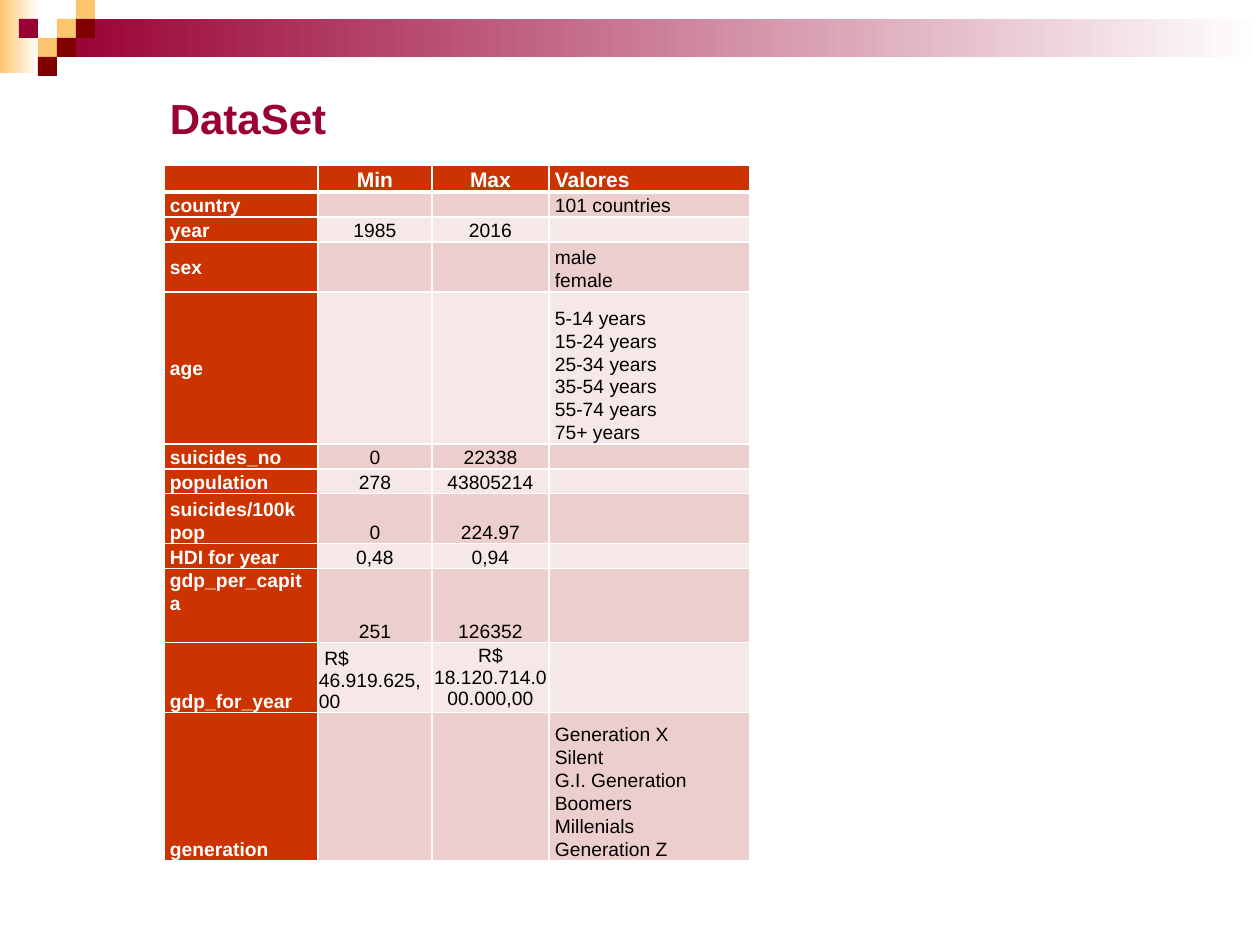
"""Build the DataSet slide: a corner mosaic, a title and a table of variables."""
from dataclasses import dataclass

from lxml import etree
from pptx import Presentation
from pptx.dml.color import RGBColor
from pptx.enum.shapes import MSO_SHAPE
from pptx.enum.text import MSO_ANCHOR, PP_ALIGN
from pptx.oxml.ns import qn
from pptx.util import Emu, Pt

RECTANGLE = MSO_SHAPE.RECTANGLE
TOP, MIDDLE, BOTTOM = MSO_ANCHOR.TOP, MSO_ANCHOR.MIDDLE, MSO_ANCHOR.BOTTOM
LEFT, CENTER = PP_ALIGN.LEFT, PP_ALIGN.CENTER
EMU_PER_PX = 914400 / 126
TITLE_ONLY = 5

COLUMN_WIDTHS = [154, 114, 117, 201]
ROWS = [
    (27, "", "Min", "Max", "Valores"),
    (25, "country", "", "", "101 countries"),
    (25, "year", "1985", "2016", ""),
    (50, "sex", "", "", "male\nfemale"),
    (152, "age", "", "", "5-14 years\n15-24 years\n25-34 years\n35-54 years\n55-74 years\n75+ years"),
    (25, "suicides_no", "0", "22338", ""),
    (25, "population", "278", "43805214", ""),
    (50, "suicides/100k pop", "0", "224.97", ""),
    (25, "HDI for year", "0,48", "0,94", ""),
    (74, "gdp_per_capita", "251", "126352", ""),
    (70, "gdp_for_year", " R$ 46.919.625,00", "R$ 18.120.714.000.000,00", ""),
    (148, "generation", "", "", "Generation X\nSilent\nG.I. Generation\nBoomers\nMillenials\nGeneration Z"),
]


@dataclass(frozen=True)
class Theme:
    """Colours, font and type sizes of the slide."""
    font: str = "Arial"
    crimson: str = "990033"
    maroon: str = "800000"
    gold: str = "FCC66E"
    white: str = "FFFFFF"
    black: str = "000000"
    header: str = "CC3300"
    bands: tuple = ("F6E8E7", "ECCECC")
    title_size: int = 24
    header_size: int = 12
    body_size: int = 11


def px(length):
    """Turn pixels into EMU."""
    return Emu(round(length * EMU_PER_PX))


class SlideBuilder:
    """Draws styled elements on the current slide."""

    def __init__(self, slide, theme):
        self.slide = slide
        self.theme = theme

    def style(self, paragraph, size, color, bold, align):
        """Set the font and alignment of a paragraph."""
        paragraph.alignment = align
        font = paragraph.font
        font.name, font.size, font.bold = self.theme.font, Pt(size), bold
        font.color.rgb = RGBColor.from_string(color)

    def title(self, text, left, top, width, height):
        """Place and format the title placeholder."""
        shape = self.slide.shapes.title
        shape.left, shape.top, shape.width, shape.height = map(px, (left, top, width, height))
        frame = shape.text_frame
        frame.text = text
        frame.vertical_anchor = MIDDLE
        self.style(frame.paragraphs[0], self.theme.title_size, self.theme.crimson, True, CENTER)

    def rectangle(self, left, top, width, height, color, fade_to=None):
        """Add a rectangle with a plain fill or a left-to-right fade."""
        shape = self.slide.shapes.add_shape(RECTANGLE, *map(px, (left, top, width, height)))
        shape.shadow.inherit = False
        shape.line.fill.background()
        if fade_to is None:
            shape.fill.solid()
            shape.fill.fore_color.rgb = RGBColor.from_string(color)
            return
        shape.fill.gradient()
        shape.fill.gradient_angle = 0
        for stop, stop_color in zip(shape.fill.gradient_stops, (color, fade_to)):
            stop.color.rgb = RGBColor.from_string(stop_color)

    def borders(self, cell, widths):
        """Draw the left, right, top and bottom borders of a cell in white."""
        properties = cell._tc.get_or_add_tcPr()
        for side, width in zip("LRTB", widths):
            line = etree.SubElement(properties, qn(f"a:ln{side}"), w=str(Pt(width)))
            fill = etree.SubElement(line, qn("a:solidFill"))
            etree.SubElement(fill, qn("a:srgbClr"), val=self.theme.white)

    def cell(self, cell, text, row, column, anchor, currency):
        """Fill and format one table cell."""
        theme = self.theme
        heading = row == 0 or column == 0
        self.borders(cell, (1, 1, 3 if row == 1 else 1, 3 if row == 0 else 1))
        cell.fill.solid()
        cell.fill.fore_color.rgb = RGBColor.from_string(theme.header if heading else theme.bands[row % 2])
        cell.margin_left = cell.margin_right = px(1 if currency else 6)
        cell.margin_top = cell.margin_bottom = 0
        cell.vertical_anchor = anchor
        cell.text = text
        size = theme.header_size if row == 0 else theme.body_size
        centered = column in (1, 2) and not (currency and column == 1)
        for paragraph in cell.text_frame.paragraphs:
            self.style(paragraph, size, theme.white if heading else theme.black,
                       heading, CENTER if centered else LEFT)
            paragraph.line_spacing = 1.0 if currency else 1.07
            if not text:
                paragraph._p.get_or_add_endParaRPr().set("sz", str(size * 100))

    def table(self, left, top, column_widths, rows, anchors):
        """Add a table whose cells sit at the bottom unless anchors says otherwise."""
        heights = [height for height, *_ in rows]
        table = self.slide.shapes.add_table(
            len(rows), len(column_widths),
            *map(px, (left, top, sum(column_widths), sum(heights)))).table
        for column, width in zip(table.columns, column_widths):
            column.width = px(width)
        for row, (height, *texts) in enumerate(rows):
            table.rows[row].height = px(height)
            for column, text in enumerate(texts):
                self.cell(table.cell(row, column), text, row, column,
                          anchors.get(text, BOTTOM), "R$" in text)


def main():
    """Build and save the presentation."""
    presentation = Presentation()
    presentation.slide_width, presentation.slide_height = px(1260), px(945)
    theme = Theme()
    slide = presentation.slides.add_slide(presentation.slide_layouts[TITLE_ONLY])
    builder = SlideBuilder(slide, theme)

    builder.rectangle(0, 0, 39, 73, theme.gold, theme.white)
    builder.rectangle(57, 19, 1203, 38, theme.crimson, theme.white)
    square = 19
    mosaic = {
        theme.gold: [(3, 1), (4, 0), (2, 2)],
        theme.maroon: [(4, 1), (3, 2), (2, 3)],
        theme.crimson: [(1, 1)],
    }
    for color, places in mosaic.items():
        for column, row in places:
            builder.rectangle(column * square, row * square, square, square, color)

    builder.title("DataSet", -223, 86, 942, 63)
    anchors = {"sex": MIDDLE, "age": MIDDLE, "gdp_per_capita": TOP, ROWS[10][3]: MIDDLE}
    builder.table(164, 165, COLUMN_WIDTHS, ROWS, anchors)
    presentation.save("out.pptx")


if __name__ == "__main__":
    main()
